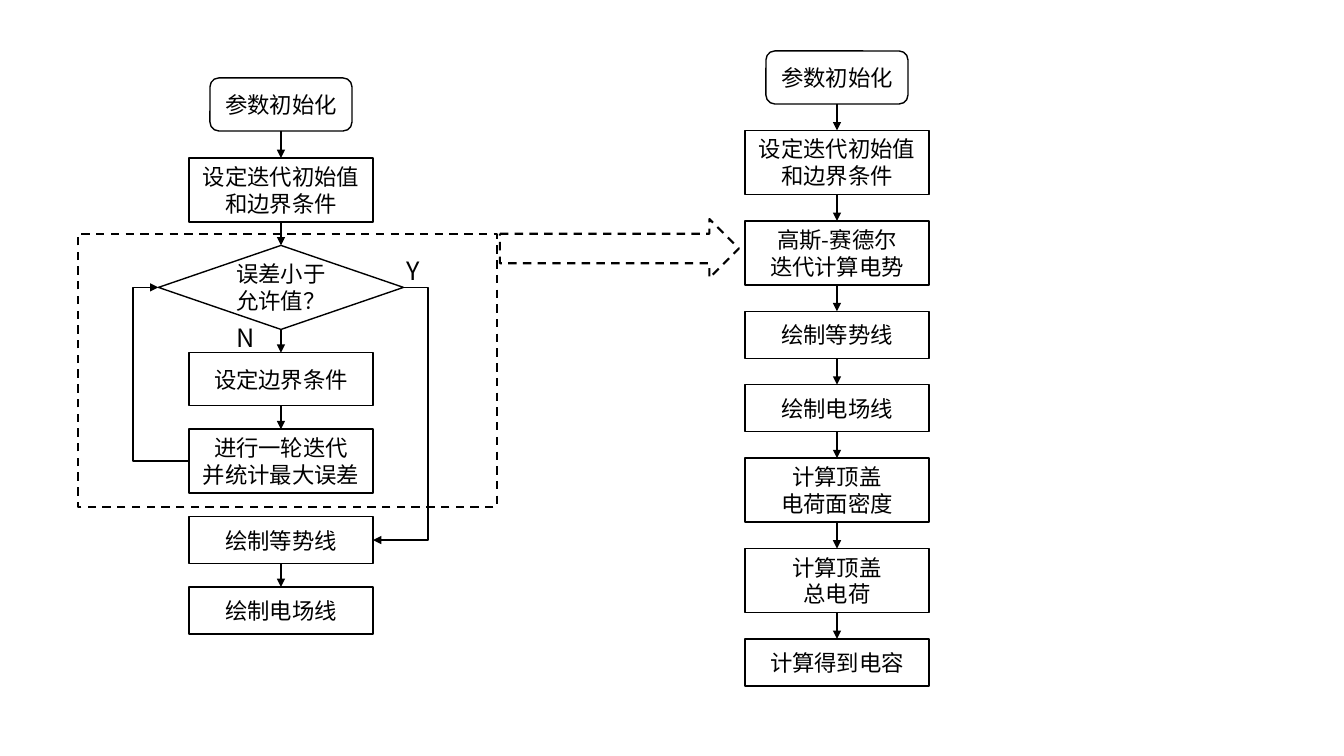
from dataclasses import dataclass

from lxml import etree
from pptx import Presentation
from pptx.dml.color import RGBColor
from pptx.enum.dml import MSO_LINE
from pptx.enum.shapes import MSO_CONNECTOR, MSO_SHAPE
from pptx.enum.text import MSO_ANCHOR, MSO_AUTO_SIZE, PP_ALIGN
from pptx.oxml.ns import qn
from pptx.util import Pt

RECT = MSO_SHAPE.RECTANGLE
ROUNDED = MSO_SHAPE.ROUNDED_RECTANGLE
DECISION = MSO_SHAPE.FLOWCHART_DECISION
RIGHT_ARROW = MSO_SHAPE.RIGHT_ARROW
STRAIGHT, ELBOW = MSO_CONNECTOR.STRAIGHT, MSO_CONNECTOR.ELBOW
DASH = MSO_LINE.DASH
CENTER, MIDDLE = PP_ALIGN.CENTER, MSO_ANCHOR.MIDDLE
GROW = MSO_AUTO_SIZE.SHAPE_TO_FIT_TEXT

PX = 914400 / 100.8
TOP_SITE, BOTTOM_SITE = 0, 2


@dataclass(frozen=True)
class Theme:
    """Colours, type and line weights of the flowchart."""
    ink: RGBColor = RGBColor(0, 0, 0)
    font: str = "Noto Sans CJK SC"
    step_size: int = 16
    label_size: int = 18
    line: float = 1
    dashed_line: float = 1.5


THEME = Theme()

# Kinds of step: shape, width, height
START = (ROUNDED, 142, 53)
ONE_LINE = (RECT, 184, 47)
TALL_LINE = (RECT, 184, 53)
TWO_LINES = (RECT, 184, 64)
CHOICE = (DECISION, 245, 84)

SOLVER_STEPS = [
    (TWO_LINES, "设定迭代初始值\n和边界条件"),
    (CHOICE, "误差小于允许值？"),
    (TALL_LINE, "设定边界条件"),
    (TWO_LINES, "进行一轮迭代\n并统计最大误差"),
    (ONE_LINE, "绘制等势线"),
    (ONE_LINE, "绘制电场线"),
]
CAPACITANCE_STEPS = [
    (START, "参数初始化"),
    (TWO_LINES, "设定迭代初始值\n和边界条件"),
    (TWO_LINES, "高斯-赛德尔\n迭代计算电势"),
    (ONE_LINE, "绘制等势线"),
    (ONE_LINE, "绘制电场线"),
    (TWO_LINES, "计算顶盖\n电荷面密度"),
    (TWO_LINES, "计算顶盖\n总电荷"),
    (ONE_LINE, "计算得到电容"),
]


def emu(pixels):
    """Turn pixels into EMU."""
    return round(pixels * PX)


def write(frame, text, size, align=None):
    """Put text in a frame and format all of its runs."""
    frame.text = text
    for paragraph in frame.paragraphs:
        paragraph.alignment = align
        for run in paragraph.runs:
            run.font.size = Pt(size)
            run.font.name = THEME.font
            run.font.color.rgb = THEME.ink
            east_asian = etree.SubElement(run.font._element, qn("a:ea"))
            east_asian.set("typeface", THEME.font)


def add_outline(slide, kind, left, top, width, height, weight=THEME.line):
    """Add an unfilled shape with a black outline."""
    outline = slide.shapes.add_shape(
        kind, emu(left), emu(top), emu(width), emu(height))
    outline.shadow.inherit = False
    outline.fill.background()
    outline.line.color.rgb = THEME.ink
    outline.line.width = Pt(weight)
    return outline


def add_dashed(slide, kind, *box):
    """Add a dashed outline."""
    outline = add_outline(slide, kind, *box, weight=THEME.dashed_line)
    outline.line.dash_style = DASH


def add_step(slide, step, center, top):
    """Add one flowchart step centred on its column."""
    (kind, width, height), text = step
    box = add_outline(slide, kind, center - width / 2, top, width, height)
    box.text_frame.word_wrap = True
    box.text_frame.vertical_anchor = MIDDLE
    write(box.text_frame, text, THEME.step_size, CENTER)
    return box


def add_column(slide, steps, center, top, bottom):
    """Stack steps with equal gaps between top and bottom."""
    heights = [size[2] for size, _ in steps]
    gap = (bottom - top - sum(heights)) / (len(steps) - 1)
    boxes = []
    for step, height in zip(steps, heights):
        boxes.append(add_step(slide, step, center, top))
        top += height + gap
    return boxes


def add_arrow(slide, kind, start=(0, 0), end=(0, 0)):
    """Add a black connector with a triangle at its end."""
    arrow = slide.shapes.add_connector(kind, *start, *end)
    arrow.line.color.rgb = THEME.ink
    arrow.line.width = Pt(THEME.line)
    line = arrow.line._get_or_add_ln()
    etree.SubElement(line, qn("a:tailEnd")).set("type", "triangle")
    etree.SubElement(arrow._element.spPr, qn("a:effectLst"))
    return arrow


def link_down(slide, upper, lower):
    """Join the bottom of one step to the top of the next."""
    arrow = add_arrow(slide, STRAIGHT)
    arrow.begin_connect(upper, BOTTOM_SITE)
    arrow.end_connect(lower, TOP_SITE)


def side_point(box, right):
    """Return the middle of a step's right or left side."""
    return box.left + box.width * right, box.top + box.height // 2


def link_around(slide, source, target, lane, right):
    """Join the same side of two steps by way of a vertical lane."""
    start, end = side_point(source, right), side_point(target, right)
    arrow = add_arrow(slide, ELBOW, start, end)
    bend = (emu(lane) - start[0]) / (end[0] - start[0])
    adjustments = arrow._element.spPr.find(qn("a:prstGeom")).get_or_add_avLst()
    guide = etree.SubElement(adjustments, qn("a:gd"))
    guide.set("name", "adj1")
    guide.set("fmla", f"val {round(bend * 100000)}")


def add_label(slide, text, left, top):
    """Add a branch label."""
    label = slide.shapes.add_textbox(emu(left), emu(top), emu(30), emu(40))
    label.text_frame.word_wrap = False
    label.text_frame.auto_size = GROW
    write(label.text_frame, text, THEME.label_size)


def main():
    """Build the two flowcharts and save the slide."""
    deck = Presentation()
    deck.slide_width, deck.slide_height = emu(1344), emu(756)
    slide = deck.slides.add_slide(deck.slide_layouts[6])

    start = add_step(slide, (START, "参数初始化"), 281, 78)
    solver = add_column(slide, SOLVER_STEPS, 281, 158, 634)
    conditions, choice, boundary, iteration, equipotential, field = solver
    capacitance = add_column(slide, CAPACITANCE_STEPS, 837, 51, 686)

    iteration_path = [start, conditions, choice, boundary, iteration]
    for path in (iteration_path, [equipotential, field], capacitance):
        for upper, lower in zip(path, path[1:]):
            link_down(slide, upper, lower)
    link_around(slide, iteration, choice, lane=133, right=False)
    link_around(slide, choice, equipotential, lane=428, right=True)

    add_dashed(slide, RECT, 78, 234, 419, 273)
    add_dashed(slide, RIGHT_ARROW, 500, 219, 239, 59)
    add_label(slide, "N", 227, 317)
    add_label(slide, "Y", 397, 250)
    deck.save("out.pptx")


main()
